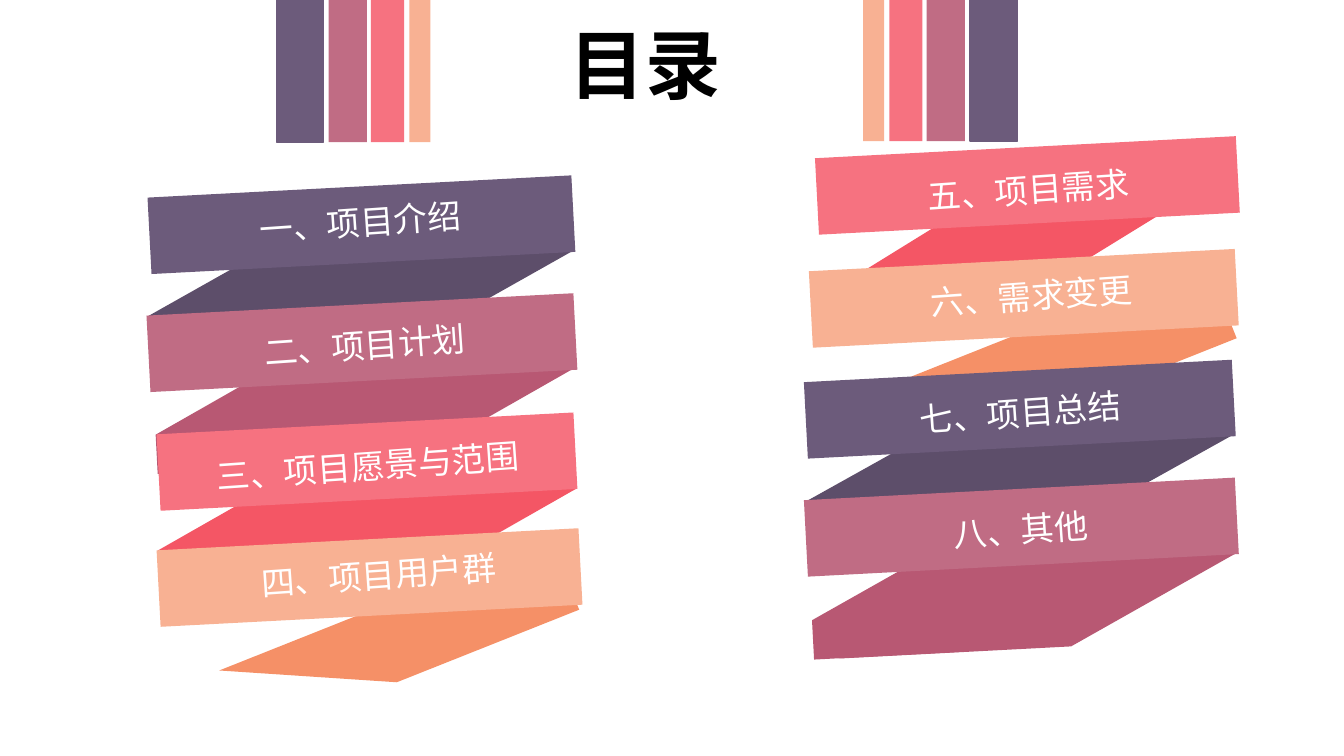
from pptx import Presentation
from pptx.dml.color import RGBColor
from pptx.enum.shapes import MSO_SHAPE as Preset
from pptx.enum.text import MSO_AUTO_SIZE as AutoSize
from pptx.oxml.ns import qn
from pptx.util import Inches, Pt

PURPLE, MAUVE, PINK, PEACH = "6C5B7B", "C06C84", "F67280", "F8B193"
DARK_PURPLE, DARK_MAUVE, DARK_PINK, ORANGE = "5D4E6A", "B85873", "F45665", "F59067"
TILT, TEXT_TILT, TAIL_TILT = 357, 356, 338.3

FOLD = [(1, 0), (0.38, 1), (0, 1), (0, 0.68), (0.42, 0)]
BACK_FOLD = [(1 - x, 1 - y) for x, y in FOLD]
TAIL = [(0, 0), (1, 0), (1, 1), (0.45, 1)]

FOLDS = [
    (FOLD, DARK_PINK, 8.46, 1.76, 3.84, 1.3, TILT),
    (TAIL, ORANGE, 8.85, 3.17, 3.38, 0.84, TAIL_TILT),
    (FOLD, DARK_PURPLE, 7.98, 4.04, 4.02, 1.22, TILT),
    (BACK_FOLD, DARK_PURPLE, 8.22, 4.03, 4.02, 1.22, TILT),
    (FOLD, DARK_MAUVE, 8.04, 5.22, 3.97, 1.22, TILT),
    (BACK_FOLD, DARK_MAUVE, 8.29, 5.21, 3.97, 1.22, TILT),
    (TAIL, ORANGE, 2.19, 5.97, 3.54, 0.76, TAIL_TILT),
    (FOLD, DARK_PURPLE, 1.46, 2.2, 3.98, 1.22, TILT),
    (BACK_FOLD, DARK_PURPLE, 1.72, 2.2, 3.98, 1.22, TILT),
    (FOLD, DARK_MAUVE, 1.53, 3.38, 3.93, 1.22, TILT),
    (BACK_FOLD, DARK_MAUVE, 1.77, 3.37, 3.93, 1.22, TILT),
    (FOLD, DARK_PINK, 1.55, 4.53, 3.93, 1.22, TILT),
    (BACK_FOLD, DARK_PINK, 1.8, 4.56, 3.93, 1.22, TILT),
]
BANDS = [
    (PURPLE, 1.48, 1.85, 4.21),
    (MAUVE, 1.47, 3.02, 4.24),
    (PINK, 1.57, 4.2, 4.14),
    (PEACH, 1.57, 5.35, 4.19),
    (PINK, 8.1, 1.46, 4.18),
    (PEACH, 8.04, 2.58, 4.23),
    (PURPLE, 7.99, 3.68, 4.25),
    (MAUVE, 7.99, 4.85, 4.28),
]
LABELS = [
    ("一、项目介绍", 2.49, 1.95, 2.22, 0.91),
    ("二、项目计划", 2.52, 3.17, 2.22, 0.5),
    ("三、项目愿景与范围", 2.05, 4.37, 3.23, 0.5),
    ("四、项目用户群", 2.49, 5.45, 2.56, 0.5),
    ("五、项目需求", 9.1, 1.63, 2.22, 0.5),
    ("六、需求变更", 9.13, 2.68, 2.27, 0.5),
    ("七、项目总结", 9.02, 3.84, 2.22, 0.5),
    ("八、其他", 9.36, 5, 1.61, 0.5),
]
STRIPES = [
    (PURPLE, 2.74, 9.62, 0.47),
    (MAUVE, 3.26, 9.19, 0.38),
    (PINK, 3.68, 8.82, 0.33),
    (PEACH, 4.06, 8.56, 0.21),
]


def color(value):
    """Turn a hex string into a colour."""
    return RGBColor.from_string(value)


class RibbonSlide:
    """Draws ribbon elements on one slide in one style."""

    font_name = "Noto Sans CJK SC"

    def __init__(self, slide):
        """Keep the slide that is drawn on."""
        self.slide = slide

    def paint(self, shape, fill, rotation=0, outlined=False):
        """Give a shape its fill, outline and rotation."""
        shape.shadow.inherit = False
        shape.fill.solid()
        shape.fill.fore_color.rgb = color(fill)
        if outlined:
            shape.line.color.rgb = color(fill)
            shape.line.width = Pt(1)
        else:
            shape.line.fill.background()
        shape.rotation = rotation

    def rectangle(self, fill, left, top, width, height, **style):
        """Add a plain filled rectangle."""
        box = [Inches(length) for length in (left, top, width, height)]
        self.paint(self.slide.shapes.add_shape(Preset.RECTANGLE, *box), fill, **style)

    def fold(self, outline, fill, left, top, width, height, rotation):
        """Add a ribbon fold whose outline is given in fractions of its box."""
        points = [(Inches(left + x * width), Inches(top + y * height)) for x, y in outline]
        builder = self.slide.shapes.build_freeform(*points[0])
        builder.add_line_segments(points[1:], close=True)
        self.paint(builder.convert_to_shape(), fill, rotation)

    def text(self, text, left, top, width, height, *, size=24, fill="FFFFFF",
             bold=False, rotation=0):
        """Add a one-line text box."""
        box = [Inches(length) for length in (left, top, width, height)]
        shape = self.slide.shapes.add_textbox(*box)
        shape.rotation = rotation
        frame = shape.text_frame
        frame.word_wrap = False
        frame.auto_size = AutoSize.SHAPE_TO_FIT_TEXT
        run = frame.paragraphs[0].add_run()
        run.text = text
        font = run.font
        font.name, font.size, font.bold = self.font_name, Pt(size), bold
        font.color.rgb = color(fill)
        east_asian = run._r.get_or_add_rPr().makeelement(
            qn("a:ea"), {"typeface": self.font_name})
        run._r.rPr.find(qn("a:latin")).addnext(east_asian)


def main():
    """Build the contents slide and save it."""
    presentation = Presentation()
    presentation.slide_width, presentation.slide_height = Inches(13.33), Inches(7.5)
    ribbon = RibbonSlide(presentation.slides.add_slide(presentation.slide_layouts[6]))
    for fold in FOLDS:
        ribbon.fold(*fold)
    for fill, left, top, width in BANDS:
        ribbon.rectangle(fill, left, top, width, 0.76, rotation=TILT)
    for fill, left_side, right_side, width in STRIPES:
        for left, top in ((left_side, 0), (right_side, -0.01)):
            ribbon.rectangle(fill, left, top, width, 1.41, outlined=fill == PURPLE)
    ribbon.text("目录", 5.55, 0.13, 1.72, 1.01, size=54, fill="000000", bold=True)
    for label in LABELS:
        ribbon.text(*label, rotation=TEXT_TILT)
    presentation.save("out.pptx")


if __name__ == "__main__":
    main()
